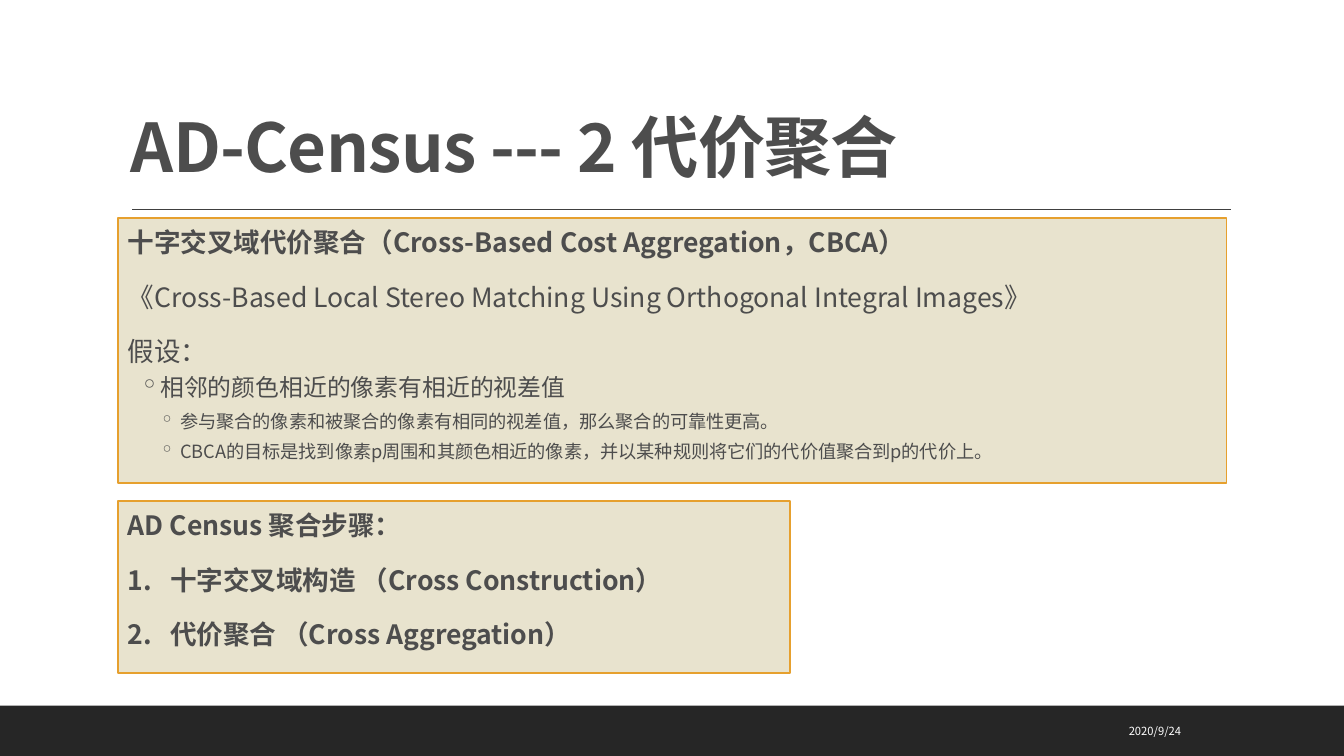
"""Build the AD-Census cost aggregation slide."""
import dataclasses

import lxml.etree
import pptx
import pptx.dml.color
import pptx.enum.shapes
import pptx.enum.text
import pptx.oxml.ns
import pptx.util

Cm = pptx.util.Cm
Pt = pptx.util.Pt
qn = pptx.oxml.ns.qn
Align = pptx.enum.text.PP_ALIGN
Anchor = pptx.enum.text.MSO_ANCHOR


@dataclasses.dataclass(frozen=True)
class Theme:
    font: str = "Noto Sans CJK SC"
    ink: str = "4D4D4D"
    rule: str = "404040"
    band: str = "262626"
    panel: str = "E8E3CE"
    border: str = "E6A02E"
    date: str = "FFFFFF"
    title_size: float = 48
    lead_size: float = 19
    point_size: float = 17
    detail_size: float = 13
    date_size: float = 8


@dataclasses.dataclass(frozen=True)
class Style:
    size: float
    color: str = Theme.ink
    bold: bool = False
    align: Align = Align.LEFT
    line: float = 1.0
    before: float = 0
    after: float = 0
    margin: float = 0
    hang: float = 0
    bullet: tuple = ()
    tracking: int = 0


THEME = Theme()
CIRCLE = ("a:buChar", {"char": "◦"})
NUMBER = ("a:buAutoNum", {"type": "arabicPeriod"})
LEAD = Style(THEME.lead_size, line=1.1, before=12, after=2, margin=0.25)
HEADING = dataclasses.replace(LEAD, bold=True)
STEP = dataclasses.replace(HEADING, margin=1.32, hang=1.07, bullet=NUMBER)
POINT = Style(THEME.point_size, before=2, after=4, margin=1.07, hang=0.51, bullet=CIRCLE)
DETAIL = dataclasses.replace(POINT, size=THEME.detail_size, margin=1.57)
TITLE = Style(THEME.title_size, bold=True, line=0.9, tracking=-50)
DATE = Style(THEME.date_size, color=THEME.date, align=Align.RIGHT)

SLIDE_WIDTH, SLIDE_HEIGHT = 33.87, 19.05
BAND_HEIGHT = 1.27
RULE_LEFT, RULE_RIGHT, RULE_TOP = 3.33, 31.01, 5.28
PANEL_LEFT = 2.97

LABELS = [
    ((3.05, 0.79, 27.94, 4.04), Anchor.BOTTOM, [("AD-Census --- 2 代价聚合", TITLE)]),
    ((22.83, 17.91, 7.19, 1.02), Anchor.MIDDLE, [("2020/9/24", DATE)]),
]
PANELS = [
    ((5.49, 27.94, 6.68), [
        ("十字交叉域代价聚合（Cross-Based Cost Aggregation，CBCA）", HEADING),
        ("《Cross-Based Local Stereo Matching Using Orthogonal Integral Images》", LEAD),
        ("假设：", LEAD),
        ("相邻的颜色相近的像素有相近的视差值", POINT),
        ("参与聚合的像素和被聚合的像素有相同的视差值，那么聚合的可靠性更高。", DETAIL),
        ("CBCA的目标是找到像素p周围和其颜色相近的像素，并以某种规则将它们的代价值聚合到p的代价上。", DETAIL),
    ]),
    ((12.62, 16.94, 4.34), [
        ("AD Census 聚合步骤：", HEADING),
        ("十字交叉域构造 （Cross Construction）", STEP),
        ("代价聚合 （Cross Aggregation）", STEP),
    ]),
]


def rgb(color):
    return pptx.dml.color.RGBColor.from_string(color)


def style_paragraph(paragraph, style):
    paragraph.alignment = style.align
    paragraph.line_spacing = style.line
    paragraph.space_before = Pt(style.before)
    paragraph.space_after = Pt(style.after)
    properties = paragraph._p.get_or_add_pPr()
    properties.set("marL", str(Cm(style.margin)))
    properties.set("indent", str(-Cm(style.hang)))
    if style.bullet:
        tag, settings = style.bullet
        lxml.etree.SubElement(properties, qn(tag), settings)
    font = paragraph.font
    font.size = Pt(style.size)
    font.bold = style.bold
    font.color.rgb = rgb(style.color)
    font.name = THEME.font
    defaults = properties.find(qn("a:defRPr"))
    defaults.set("spc", str(style.tracking))
    lxml.etree.SubElement(defaults, qn("a:ea"), typeface=THEME.font)


def write(frame, lines, anchor):
    frame.word_wrap = True
    frame.vertical_anchor = anchor
    for index, (text, style) in enumerate(lines):
        paragraph = frame.add_paragraph() if index else frame.paragraphs[0]
        paragraph.text = text
        style_paragraph(paragraph, style)


def add_box(slide, place, fill):
    box = slide.shapes.add_shape(
        pptx.enum.shapes.MSO_SHAPE.RECTANGLE, *map(Cm, place))
    box.shadow.inherit = False
    box.fill.solid()
    box.fill.fore_color.rgb = rgb(fill)
    box.line.fill.background()
    return box


def add_panel(slide, place, lines):
    panel = add_box(slide, place, THEME.panel)
    panel.line.color.rgb = rgb(THEME.border)
    panel.line.width = Pt(1.25)
    panel.text_frame.margin_left = panel.text_frame.margin_right = 0
    write(panel.text_frame, lines, Anchor.TOP)


def add_rule(slide):
    rule = slide.shapes.add_connector(
        pptx.enum.shapes.MSO_CONNECTOR.STRAIGHT,
        Cm(RULE_LEFT), Cm(RULE_TOP), Cm(RULE_RIGHT), Cm(RULE_TOP))
    rule.line.color.rgb = rgb(THEME.rule)
    rule.line.width = Pt(1)
    lxml.etree.SubElement(rule._element.spPr, qn("a:effectLst"))


def main():
    deck = pptx.Presentation()
    deck.slide_width, deck.slide_height = Cm(SLIDE_WIDTH), Cm(SLIDE_HEIGHT)
    slide = deck.slides.add_slide(deck.slide_layouts[6])
    add_box(slide, (0, SLIDE_HEIGHT - BAND_HEIGHT, SLIDE_WIDTH, BAND_HEIGHT), THEME.band)
    add_rule(slide)
    for place, anchor, lines in LABELS:
        label = slide.shapes.add_textbox(*map(Cm, place))
        write(label.text_frame, lines, anchor)
    for (top, width, height), lines in PANELS:
        add_panel(slide, (PANEL_LEFT, top, width, height), lines)
    deck.save("out.pptx")


if __name__ == "__main__":
    main()
